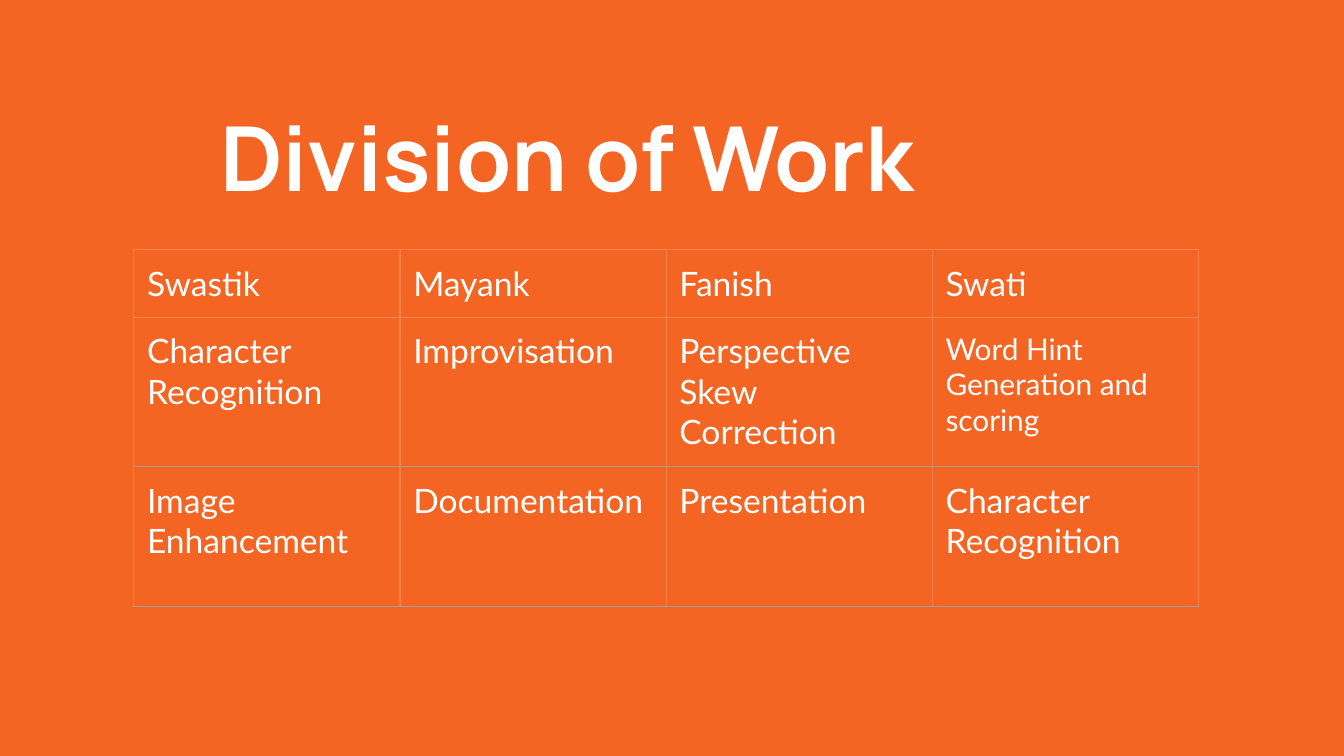
from lxml.etree import SubElement
from pptx import Presentation
from pptx.dml.color import RGBColor
from pptx.enum.text import MSO_ANCHOR
from pptx.oxml.ns import qn
from pptx.util import Cm, Pt

# Content
TITLE = "Division of Work"
ROWS = [
    ["Swastik", "Mayank", "Fanish", "Swati"],
    ["Character Recognition", "Improvisation",
     "Perspective Skew Correction", "Word Hint Generation and scoring"],
    ["Image Enhancement", "Documentation", "Presentation",
     "Character Recognition"],
]
SMALL = {(1, 3)}  # cells set in smaller type

# Format
HEX = {"back": "F46524", "text": "FFFFFF", "faint": "F8834F", "rule": "9E9E9E"}
HEAD = {"name": "Manrope", "size": Pt(48), "bold": True}
BODY = {"name": "Lato", "size": Pt(18), "bold": False}
NOTE = {**BODY, "size": Pt(16)}
PAD = Cm(0.25)
INSET = {f"margin_{side}": PAD for side in ("left", "right", "top", "bottom")}
COL = Cm(5.03)
HIGH = [Cm(1.28), Cm(2.82), Cm(2.64)]


def apply(item, values):
    for key, value in values.items():
        setattr(item, key, value)


def write(frame, text, style):
    run = frame.paragraphs[0].add_run()
    run.text = text
    apply(run.font, style)
    run.font.color.rgb = RGBColor.from_string(HEX["text"])


def edge(cell, row):
    """Draw the four borders; the lower two rows end in a grey rule."""
    props = cell._tc.get_or_add_tcPr()
    tones = {"lnL": "faint", "lnR": "faint",
             "lnT": "rule" if row > 1 else "faint",
             "lnB": "rule" if row > 0 else "faint"}
    for spot, (tag, tone) in enumerate(tones.items()):
        line = SubElement(props, qn(f"a:{tag}"), w=str(Pt(0.75)))
        fill = SubElement(line, qn("a:solidFill"))
        SubElement(fill, qn("a:srgbClr"), val=HEX[tone])
        props.insert(spot, line)  # borders precede the fill


# Slide
deck = Presentation()
apply(deck, {"slide_width": Cm(25.4), "slide_height": Cm(14.29)})
slide = deck.slides.add_slide(deck.slide_layouts[6])
back = slide.background.fill
back.solid()
back.fore_color.rgb = RGBColor.from_string(HEX["back"])

# Title
frame = slide.shapes.add_textbox(Cm(3.91), Cm(1.68), Cm(17.58), Cm(4.29)).text_frame
apply(frame, {**INSET, "word_wrap": True, "vertical_anchor": MSO_ANCHOR.TOP})
write(frame, TITLE, HEAD)

# Table
count = len(ROWS[0])
table = slide.shapes.add_table(len(ROWS), count, Cm(2.53), Cm(4.72),
                               COL * count, sum(HIGH)).table
apply(table, {"first_row": False, "horz_banding": False})
for col in table.columns:
    col.width = COL
for r, texts in enumerate(ROWS):
    table.rows[r].height = HIGH[r]
    for c, text in enumerate(texts):
        cell = table.cell(r, c)
        apply(cell, INSET)
        cell.fill.background()
        edge(cell, r)
        write(cell.text_frame, text, NOTE if (r, c) in SMALL else BODY)

deck.save("out.pptx")
